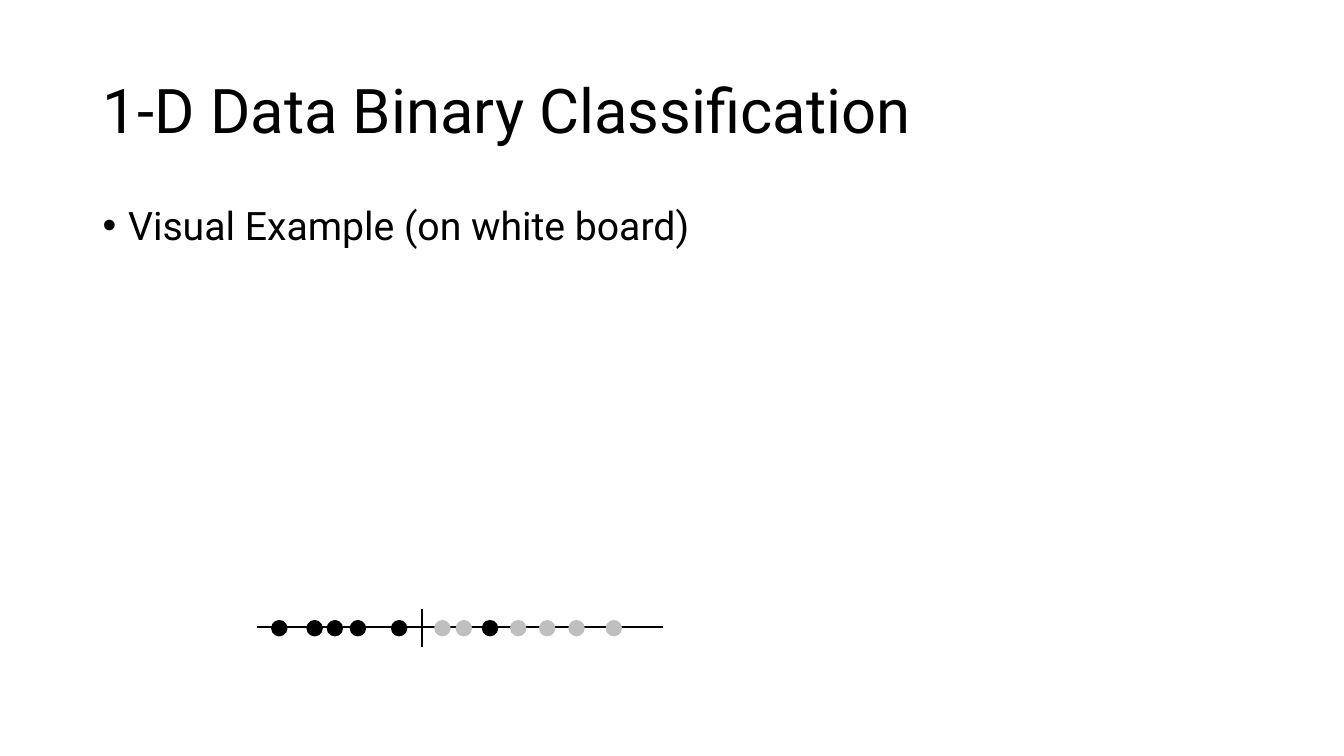
"""Build a slide showing binary classification of one-dimensional data."""
from lxml import etree
from pptx import Presentation
from pptx.dml.color import RGBColor
from pptx.enum.shapes import MSO_CONNECTOR, MSO_SHAPE
from pptx.enum.text import MSO_ANCHOR, MSO_AUTO_SIZE, PP_ALIGN
from pptx.oxml.ns import qn
from pptx.util import Cm, Pt

STRAIGHT = MSO_CONNECTOR.STRAIGHT
OVAL = MSO_SHAPE.OVAL
MIDDLE, TOP = MSO_ANCHOR.MIDDLE, MSO_ANCHOR.TOP
NO_AUTOFIT = MSO_AUTO_SIZE.NONE
LEFT = PP_ALIGN.LEFT

COLORS = {"black": "000000", "gray": "BFBFBF"}
FONT = "Roboto"
LINE_WIDTH = Pt(1.5)
DOT_SIZE = 0.36
DOT_TOP = 15.65
DOT_LEFTS = {
    "black": [6.86, 7.75, 8.26, 8.84, 9.88, 12.17],
    "gray": [10.97, 11.51, 12.88, 13.61, 14.35, 15.29],
}
AXIS = (6.48, 15.8, 16.71, 15.8)
THRESHOLD = (10.64, 15.34, 10.64, 16.31)


def write_text(box, text, size, anchor):
    frame = box.text_frame
    frame.text = text
    frame.word_wrap = True
    frame.auto_size = NO_AUTOFIT
    frame.vertical_anchor = anchor
    para = frame.paragraphs[0]
    para.alignment = LEFT
    para.line_spacing = 0.9
    span = para.runs[0]
    span.font.name = FONT
    span.font.size = Pt(size)
    span.font.color.rgb = RGBColor.from_string(COLORS["black"])
    return para


deck = Presentation()
deck.slide_width, deck.slide_height = Cm(33.87), Cm(19.05)
page = deck.slides.add_slide(deck.slide_layouts[5])

title = page.shapes.title
title.left, title.top = Cm(2.34), Cm(1.02)
title.width, title.height = Cm(29.21), Cm(3.68)
write_text(title, "1-D Data Binary Classification", 44, MIDDLE)

body = page.shapes.add_textbox(Cm(2.34), Cm(5.08), Cm(29.21), Cm(12.09))
bullet_para = write_text(body, "Visual Example (on white board)", 28, TOP)
bullet_para.space_before = Pt(10)
properties = bullet_para._p.get_or_add_pPr()
properties.set("marL", str(Cm(0.64)))
properties.set("indent", str(Cm(-0.64)))
etree.SubElement(properties, qn("a:buFont")).set("typeface", "Arial")
etree.SubElement(properties, qn("a:buChar")).set("char", "•")

number_line = page.shapes.add_group_shape()
for ends in (AXIS, THRESHOLD):
    line = number_line.shapes.add_connector(STRAIGHT, *[Cm(end) for end in ends])
    line.line.color.rgb = RGBColor.from_string(COLORS["black"])
    line.line.width = LINE_WIDTH
    etree.SubElement(line._element.spPr, qn("a:effectLst"))

for color_name, lefts in DOT_LEFTS.items():
    color = RGBColor.from_string(COLORS[color_name])
    for left in lefts:
        dot = number_line.shapes.add_shape(
            OVAL, Cm(left), Cm(DOT_TOP), Cm(DOT_SIZE), Cm(DOT_SIZE))
        dot.shadow.inherit = False
        dot.fill.solid()
        dot.fill.fore_color.rgb = color
        dot.line.color.rgb = color
        dot.line.width = LINE_WIDTH

deck.save("out.pptx")
